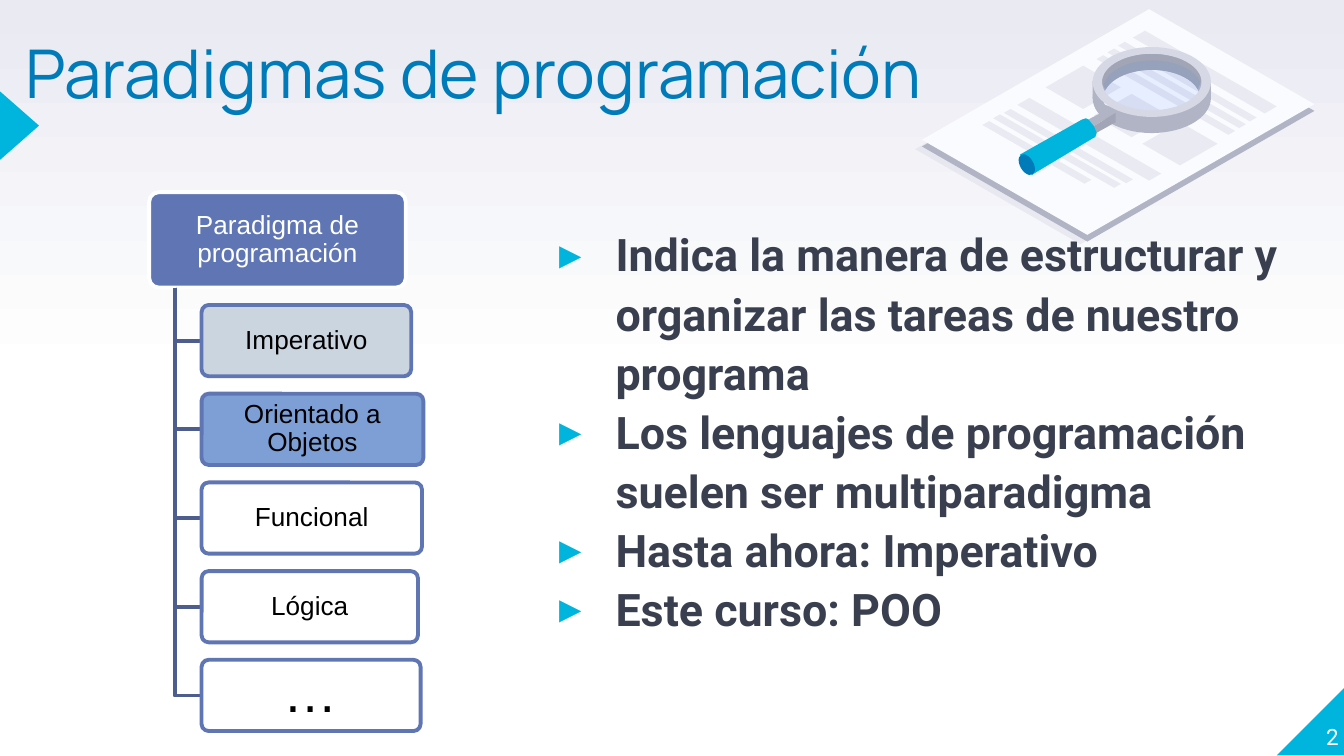
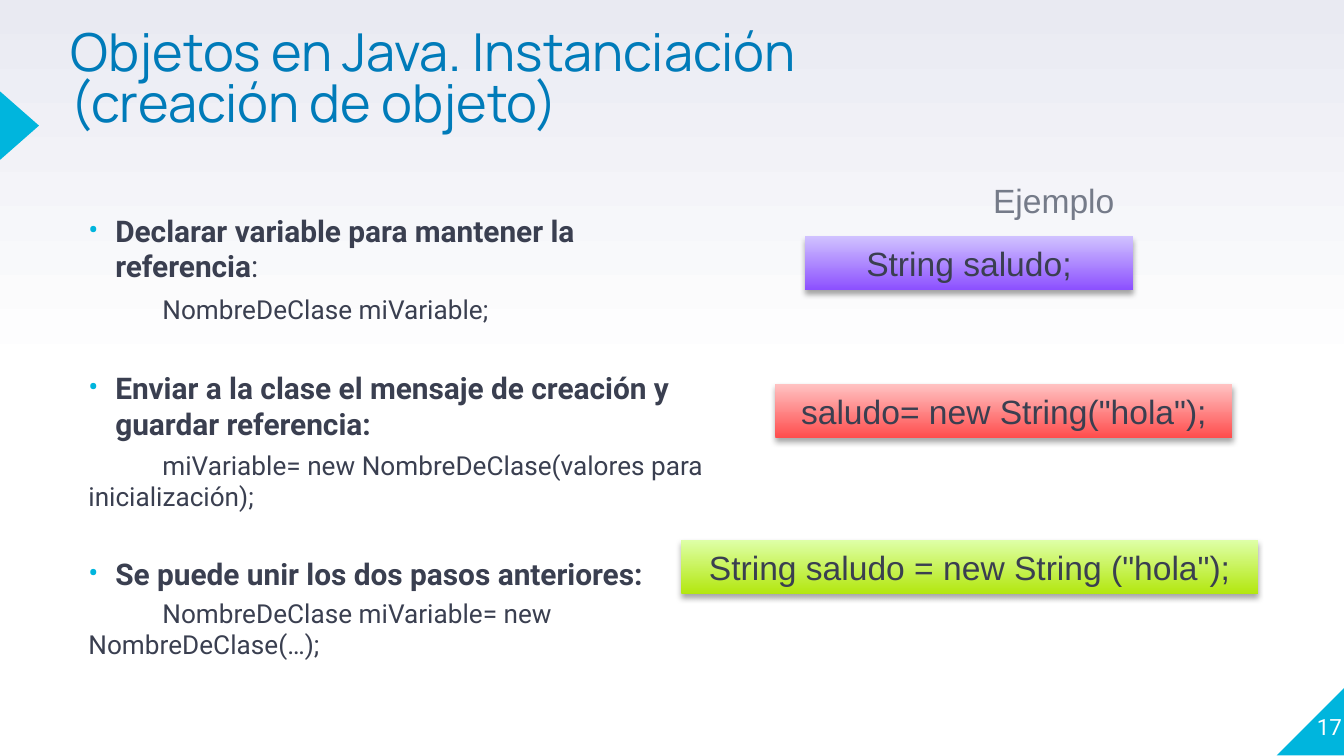
"""Build two slides on programming paradigms and on creating Java objects."""
from dataclasses import dataclass
from math import cos, radians, sin
from typing import Any

from lxml.etree import SubElement
from pptx import Presentation
from pptx.dml.color import RGBColor
from pptx.enum.shapes import MSO_SHAPE
from pptx.enum.text import MSO_ANCHOR, PP_ALIGN
from pptx.oxml.ns import qn
from pptx.util import Inches, Pt

Point = tuple[float, float]
Box = tuple[float, float, float, float]


@dataclass(frozen=True)
class Theme:
    white: str = "FFFFFF"
    black: str = "000000"
    mist: str = "E9EAF2"
    cyan: str = "00B5DD"
    blue: str = "007BB9"
    ink: str = "3A3F50"
    caption: str = "757B89"
    paper: str = "FAFBFF"
    rim: str = "D6D8E5"
    steel: str = "B1B4C4"
    dark_steel: str = "A1A5B5"
    lens: str = "3E7EFF"
    node: str = "6076B4"
    branch: str = "4C5D8E"
    current: str = "C6D1DD"
    course: str = "6F95D2"
    violet: tuple[str, str] = ("8C50FF", "D0C2FF")
    red: tuple[str, str] = ("FF4D4D", "FFC2C2")
    lime: tuple[str, str] = ("B3E70F", "DEFFA7")
    title_font: str = "Manrope"
    body_font: str = "Roboto"
    diagram_font: str = "Arial"
    title_size: float = 36
    long_title_size: float = 28
    point_size: float = 24
    heading_size: float = 16
    code_size: float = 14
    node_size: float = 14
    ellipsis_size: float = 29
    example_size: float = 18
    number_size: float = 12


THEME = Theme()


@dataclass(frozen=True)
class Para:
    text: str
    size: float
    color: str = THEME.ink
    font: str = THEME.body_font
    bold: bool = False
    plain_tail: str = ""
    align: PP_ALIGN = PP_ALIGN.LEFT
    line: float = 1.0
    before: float = 0
    margin: float = 0
    indent: float = 0
    bullet: str = ""


@dataclass(frozen=True)
class Frame:
    anchor: MSO_ANCHOR = MSO_ANCHOR.TOP
    inset_x: float = 0.1
    inset_y: float = 0.05


@dataclass(frozen=True)
class Paradigm:
    text: str
    width: float
    fill: str = THEME.white
    size: float = THEME.node_size


@dataclass(frozen=True)
class Example:
    code: str
    box: Box
    colors: tuple[str, str]


FLUSH = Frame(inset_x=0, inset_y=0)
NODE_FRAME = Frame(MSO_ANCHOR.MIDDLE, 0.03, 0.02)


def place(box: Box) -> list[int]:
    """Turn left, top, width and height into lengths."""
    return [Inches(value) for value in box]


def paint(shape: Any, color: str, alpha: int = 100) -> None:
    """Give a shape a flat fill without line or shadow."""
    shape.shadow.inherit = False
    shape.line.fill.background()
    shape.fill.solid()
    shape.fill.fore_color.rgb = RGBColor.from_string(color)
    if alpha < 100:
        tint = shape._element.spPr.find(f".//{qn('a:srgbClr')}")
        SubElement(tint, qn("a:alpha"), val=str(alpha * 1000))


def outline(shape: Any, color: str) -> None:
    """Draw the diagram line around a shape."""
    shape.line.color.rgb = RGBColor.from_string(color)
    shape.line.width = Pt(2.08)


def blend(fill: Any, bottom: str, top: str, start: float = 0) -> None:
    """Fill with a gradient that rises from bottom to top."""
    fill.gradient()
    fill.gradient_angle = 90
    for stop, color, position in zip(fill.gradient_stops, (bottom, top), (start, 1)):
        stop.color.rgb = RGBColor.from_string(color)
        stop.position = position


def write(shape: Any, paras: list[Para], frame: Frame = Frame()) -> None:
    """Write formatted paragraphs into a shape."""
    text_frame = shape.text_frame
    text_frame.word_wrap = True
    text_frame.vertical_anchor = frame.anchor
    text_frame.margin_left = text_frame.margin_right = Inches(frame.inset_x)
    text_frame.margin_top = text_frame.margin_bottom = Inches(frame.inset_y)
    text_frame.text = "\n".join(para.text for para in paras)
    for paragraph, para in zip(text_frame.paragraphs, paras):
        paragraph.alignment = para.align
        paragraph.line_spacing = para.line
        paragraph.space_before = Pt(para.before)
        if para.plain_tail:
            paragraph.add_run().text = para.plain_tail
        for index, run in enumerate(paragraph.runs):
            run.font.name = para.font
            run.font.size = Pt(para.size)
            run.font.bold = para.bold and index == 0
            run.font.color.rgb = RGBColor.from_string(para.color)
        properties = paragraph._p.get_or_add_pPr()
        properties.set("marL", str(Inches(para.margin)))
        properties.set("indent", str(Inches(para.indent)))
        if para.bullet:
            tint = SubElement(properties, qn("a:buClr"))
            SubElement(tint, qn("a:srgbClr"), val=THEME.cyan)
            SubElement(properties, qn("a:buFont"), typeface=para.font)
            SubElement(properties, qn("a:buChar"), char=para.bullet)


def add_text(slide: Any, box: Box, paras: list[Para], frame: Frame = Frame()) -> None:
    """Add a text box."""
    write(slide.shapes.add_textbox(*place(box)), paras, frame)


def add_preset(shapes: Any, kind: MSO_SHAPE, box: Box, color: str, alpha: int = 100) -> Any:
    """Add a flat preset shape."""
    shape = shapes.add_shape(kind, *place(box))
    paint(shape, color, alpha)
    return shape


def trace(shapes: Any, contours: list[list[Point]], closed: bool = True) -> Any:
    """Build a freeform from one or more contours."""
    outlines = [[(Inches(x), Inches(y)) for x, y in contour] for contour in contours]
    builder = shapes.build_freeform(*outlines[0][0])
    builder.add_line_segments(outlines[0][1:], close=closed)
    for inner in outlines[1:]:
        builder.move_to(*inner[0])
        builder.add_line_segments(inner[1:], close=closed)
    return builder.convert_to_shape()


def arc(center: Point, rx: float, ry: float, start: int = 0, end: int = 360) -> list[Point]:
    """Return points along an ellipse, clockwise from the right."""
    turn = 6 if end > start else -6
    return [(center[0] + rx * cos(radians(angle)), center[1] + ry * sin(radians(angle)))
            for angle in range(start, end + turn, turn)]


def iso_plane(x: float, y: float, across: float, along: float) -> list[Point]:
    """Return an isometric rectangle that starts at its left corner."""
    slope = 0.575
    return [(x, y), (x + across, y - across * slope),
            (x + across + along, y + (along - across) * slope), (x + along, y + along * slope)]


def add_magnified_sheet(slide: Any) -> None:
    """Draw the printed sheet with the magnifying glass."""
    shapes = slide.shapes.add_group_shape().shapes

    def fill_area(color: str, *contours: list[Point], alpha: int = 100) -> None:
        """Draw one flat area of the sheet or the glass."""
        paint(trace(shapes, list(contours)), color, alpha)

    fill_area(THEME.rim, iso_plane(6.81, 1.11, 1.69, 1.23), alpha=40)
    fill_area(THEME.steel, iso_plane(6.86, 1.09, 1.69, 1.23))
    fill_area(THEME.paper, iso_plane(6.86, 1.04, 1.69, 1.23))
    upper_lines = [(8.43, 0.28, 0.09, 0.98)] + [
        (8.32 - 0.08 * i, 0.34 + 0.05 * i, 0.05, 0.98) for i in range(3)]
    lower_lines = [(7.57, 0.78, 0.09, 0.98), (7.47, 0.84, 0.05, 0.91),
                   (7.39, 0.88, 0.05, 0.9), (7.31, 0.93, 0.05, 0.76)]
    figures = [(7.78 + 0.36 * i, 0.65 + 0.21 * i, 0.28, 0.28) for i in range(3)]
    for printed in upper_lines + lower_lines + figures:
        fill_area(THEME.mist, iso_plane(*printed))

    base, top, front = (8.57, 0.73), (8.57, 0.61), (8.56, 0.72)
    fill_area(THEME.steel, arc(base, 0.44, 0.26), arc(base, 0.36, 0.21))
    fill_area(THEME.dark_steel, arc(base, 0.36, 0.21, 198, 342)
              + [(8.94, 0.6), (8.94, 0.52), (8.72, 0.39), (8.4, 0.38), (8.23, 0.48), (8.18, 0.6)])
    fill_area(THEME.steel, [(8.13, 0.73), (8.13, 0.6), (8.2, 0.71)])
    fill_area(THEME.steel, [(9.01, 0.73), (9.01, 0.6), (8.95, 0.66)])
    add_preset(shapes, MSO_SHAPE.OVAL, (8.21, 0.45, 0.73, 0.42), THEME.lens, 10)
    fill_area(THEME.steel, arc(front, 0.4, 0.25, 0, 180) + arc(front, 0.4, 0.11, 180, 0))
    fill_area(THEME.rim, arc(top, 0.44, 0.26), arc(top, 0.37, 0.21))

    fill_area(THEME.steel, [(8.3, 0.84), (8.12, 0.95), (8.06, 0.91), (8.25, 0.81)])
    fill_area(THEME.dark_steel, [(8.3, 0.91), (8.12, 1.01), (8.12, 0.95), (8.3, 0.84)])
    fill_area(THEME.cyan, [(7.59, 1.15), (8.05, 0.89), (8.08, 0.88), (8.1, 0.89), (8.14, 0.94),
                           (8.16, 0.99), (8.15, 1.02), (8.13, 1.03), (7.68, 1.3)])
    add_preset(shapes, MSO_SHAPE.OVAL, (7.59, 1.14, 0.1, 0.17), THEME.blue).rotation = 330


def add_node(shapes: Any, box: Box, fill: str, line: str, label: Para, alpha: int = 100) -> None:
    """Add one rounded box of the hierarchy."""
    node = add_preset(shapes, MSO_SHAPE.ROUNDED_RECTANGLE, box, fill, alpha)
    node.adjustments[0] = 0.1
    outline(node, line)
    write(node, [label], NODE_FRAME)


def node_label(text: str, size: float, color: str) -> Para:
    """Return the centred label of a hierarchy box."""
    return Para(text, size, color, THEME.diagram_font, align=PP_ALIGN.CENTER, line=0.9)


def add_hierarchy(slide: Any, root: str, paradigms: list[Paradigm]) -> None:
    """Draw the root box and its paradigms below it."""
    shapes = slide.shapes.add_group_shape().shapes
    add_node(shapes, (1.11, 1.43, 1.91, 0.71), THEME.node, THEME.white,
             node_label(root, THEME.node_size, THEME.white))
    trunk, left, height = 1.3, 1.5, 0.53
    for row, paradigm in enumerate(paradigms):
        y = 2.27 + 0.66 * row
        middle = y + height / 2
        branch = trace(shapes, [[(trunk, 2.14), (trunk, middle), (left, middle)]], closed=False)
        branch.shadow.inherit = False
        branch.fill.background()
        outline(branch, THEME.branch)
        add_node(shapes, (left, y, paradigm.width, height), paradigm.fill, THEME.node,
                 node_label(paradigm.text, paradigm.size, THEME.black), 90)


def add_example(slide: Any, example: Example) -> None:
    """Add a shaded code box."""
    panel = add_preset(slide.shapes, MSO_SHAPE.RECTANGLE, example.box, example.colors[0])
    blend(panel.fill, *example.colors)
    effects = panel._element.spPr.find(qn("a:effectLst"))
    shadow = SubElement(effects, qn("a:outerShdw"), blurRad=str(Pt(3.1)), dist=str(Pt(1.8)),
                        dir="5400000", rotWithShape="0")
    tint = SubElement(shadow, qn("a:srgbClr"), val=THEME.black)
    SubElement(tint, qn("a:alpha"), val="35000")
    write(panel, [Para(example.code, THEME.example_size, font=THEME.diagram_font,
                       align=PP_ALIGN.CENTER)])


def start_slide(deck: Any, title: str, size: float, box: Box, frame: Frame) -> Any:
    """Add a slide with the shared background, marks and title."""
    slide = deck.slides.add_slide(deck.slide_layouts[6])
    blend(slide.background.fill, THEME.white, THEME.mist, 0.5)
    corner = add_preset(slide.shapes, MSO_SHAPE.RIGHT_TRIANGLE, (9.5, 5.11, 0.51, 0.51), THEME.cyan)
    corner._element.spPr.find(qn("a:xfrm")).set("flipH", "1")
    add_preset(slide.shapes, MSO_SHAPE.ISOSCELES_TRIANGLE, (-0.11, 0.79, 0.51, 0.29),
               THEME.cyan).rotation = 90
    add_text(slide, box, [Para(title, size, THEME.blue, THEME.title_font, line=0.8)], frame)
    return slide


def add_number(slide: Any, number: str, box: Box, frame: Frame, align: PP_ALIGN) -> None:
    """Add the slide number in the corner."""
    add_text(slide, box, [Para(number, THEME.number_size, THEME.white, align=align)], frame)


def build_paradigms(deck: Any) -> None:
    """Build the slide on programming paradigms."""
    slide = start_slide(deck, "Paradigmas de programación", THEME.title_size,
                        (0.19, 0.35, 7.24, 1.18), FLUSH)
    points = ["Indica la manera de estructurar y organizar las tareas de nuestro programa",
              "Los lenguajes de programación suelen ser multiparadigma",
              "Hasta ahora: Imperativo", "Este curso: POO"]
    add_text(slide, (4.08, 1.65, 5.61, 3.42), [
        Para(point, THEME.point_size, bold=True, line=1.1, before=0 if row else 6,
             margin=0.5, indent=-0.42, bullet="▸") for row, point in enumerate(points)], FLUSH)
    add_number(slide, "2", (9.46, 5.07, 0.5, 0.51), Frame(MSO_ANCHOR.BOTTOM, 0, 0), PP_ALIGN.RIGHT)
    add_magnified_sheet(slide)
    add_hierarchy(slide, "Paradigma de programación", [
        Paradigm("Imperativo", 1.56, THEME.current),
        Paradigm("Orientado a Objetos", 1.65, THEME.course),
        Paradigm("Funcional", 1.64), Paradigm("Lógica", 1.61),
        Paradigm("…", 1.63, size=THEME.ellipsis_size)])


def step(heading: str, code: str, before: float, code_gap: float, tail: str = "") -> list[Para]:
    """Return a bulleted heading and its line of code."""
    return [Para(heading, THEME.heading_size, bold=True, plain_tail=tail, before=before,
                 margin=0.2, indent=-0.2, bullet="•"),
            Para(code, THEME.code_size, before=code_gap, indent=0.55)]


def build_instantiation(deck: Any) -> None:
    """Build the slide on creating objects."""
    middle = Frame(MSO_ANCHOR.MIDDLE)
    slide = start_slide(deck, "Objetos en Java. Instanciación (creación de objeto)",
                        THEME.long_title_size, (0.43, 0.02, 6.17, 1.18), middle)
    add_text(slide, (0.56, 1.53, 4.83, 3.32),
             step("Declarar variable para mantener la referencia", "NombreDeClase miVariable;",
                  0, 5, ":")
             + step("Enviar a la clase el mensaje de creación y guardar referencia:",
                    "miVariable= new NombreDeClase(valores para inicialización);", 24, 4.5)
             + step("Se puede unir los dos pasos anteriores:",
                    "NombreDeClase miVariable= new NombreDeClase(…);", 23.5, 2.8))
    add_number(slide, "17", (9.7, 5.15, 0.5, 0.51), middle, PP_ALIGN.LEFT)
    for example in (
            Example("String saludo;", (5.99, 1.76, 2.44, 0.4), THEME.violet),
            Example('saludo= new String("hola");', (5.77, 2.86, 3.4, 0.4), THEME.red)):
        add_example(slide, example)
    add_text(slide, (6.5, 1.29, 2.68, 0.4), [
        Para("Ejemplo", THEME.example_size, THEME.caption, THEME.diagram_font,
             align=PP_ALIGN.CENTER)])
    add_example(slide, Example('String saludo = new String ("hola");', (5.07, 4.02, 4.29, 0.4),
                               THEME.lime))


def main() -> None:
    """Build and save the deck."""
    deck = Presentation()
    deck.slide_width = Inches(10)
    deck.slide_height = deck.slide_width * 9 // 16
    build_paradigms(deck)
    build_instantiation(deck)
    deck.save("out.pptx")


if __name__ == "__main__":
    main()
